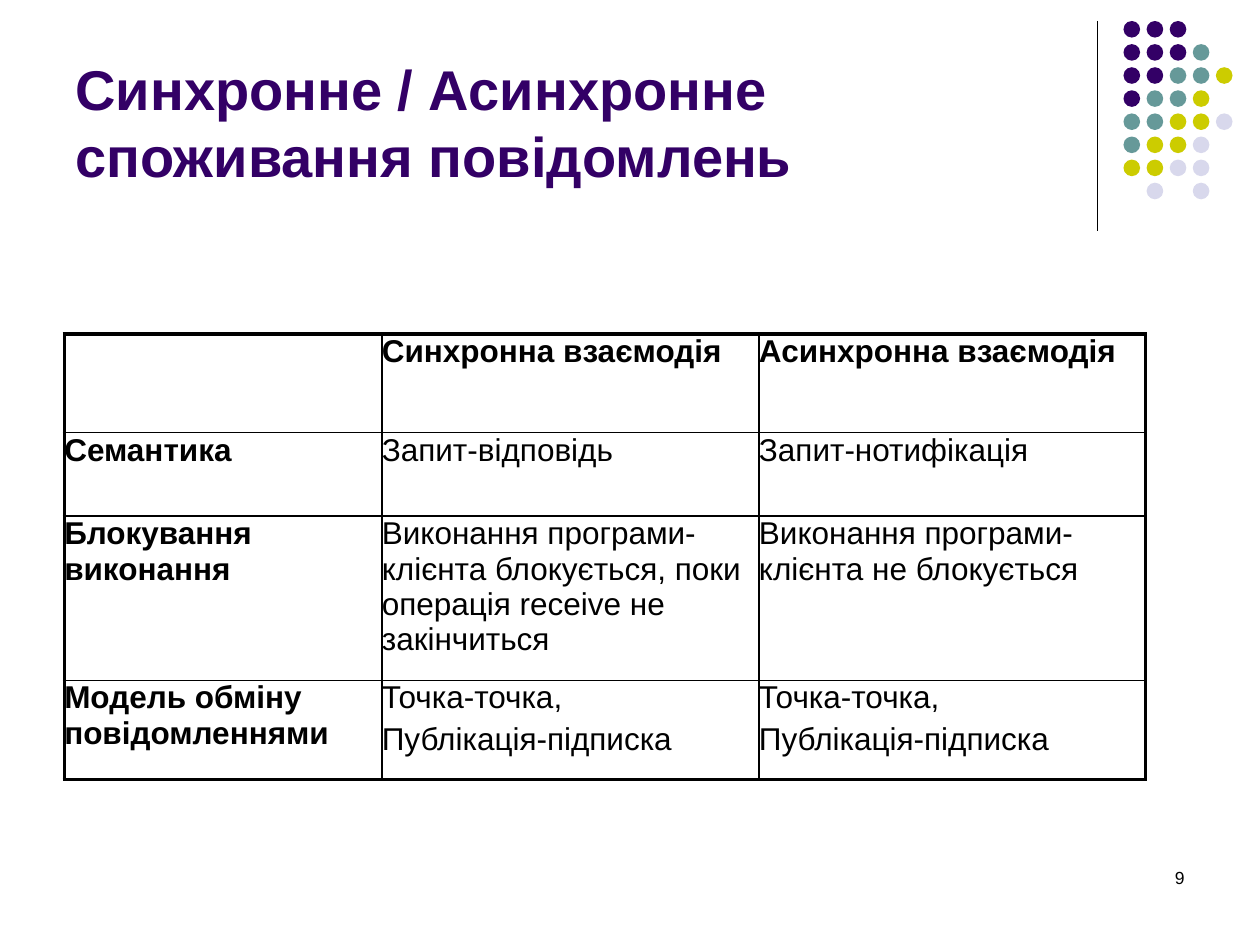
from lxml import etree
from pptx import Presentation
from pptx.dml.color import RGBColor
from pptx.enum import shapes, text
from pptx.oxml import ns
from pptx.util import Pt

BLACK, PURPLE = "000000", "330066"
DOT_COLORS = {"p": PURPLE, "t": "669999", "y": "CCCC00", "l": "D8D8EC"}
DOT_ROWS = ["ppp", "pppt", "pptty", "ptty", "ttyyl", "tyyl", "yyll", " l l"]
COLUMNS = [181.5, 215.5, 221]
ROWS = [56.5, 47.75, 93.75, 56.75]
MODEL = "Точка-точка,\nПублікація-підписка"
CELLS = [
    ["", "Синхронна взаємодія", "Асинхронна взаємодія"],
    ["Семантика", "Запит-відповідь", "Запит-нотифікація"],
    ["Блокування виконання",
     "Виконання програми-клієнта блокується, поки операція receive не закінчиться",
     "Виконання програми-клієнта не блокується"],
    ["Модель обміну повідомленнями", MODEL, MODEL],
]


def rgb(color):
    return RGBColor.from_string(color)


def set_attrs(obj, values):
    for name, value in values.items():
        setattr(obj, name, value)


def write(tf, content, size, color=BLACK, bold=False, align=None, gap=0):
    """Newlines start paragraphs, vertical tabs break lines."""
    for i, line in enumerate(content.split("\n")):
        p = tf.add_paragraph() if i else tf.paragraphs[0]
        p.text = line
        p.alignment = align
        p.space_before = Pt(gap if i else 0)
        for font in [p.font] + [r.font for r in p.runs]:
            set_attrs(font, {"name": "Arial", "size": Pt(size), "bold": bold})
            font.color.rgb = rgb(color)


def add_text(slide, box, content, size, anchor=text.MSO_ANCHOR.TOP, **fmt):
    tf = slide.shapes.add_textbox(*map(Pt, box)).text_frame
    set_attrs(tf, {"word_wrap": True, "vertical_anchor": anchor})
    write(tf, content, size, **fmt)


def add_rule(slide, x, top, bottom):
    line = slide.shapes.add_connector(
        shapes.MSO_CONNECTOR.STRAIGHT, Pt(x), Pt(top), Pt(x), Pt(bottom))
    line.line.width = Pt(0.75)
    line.line.color.rgb = rgb(BLACK)
    etree.SubElement(line._element.spPr, ns.qn("a:effectLst"))


def add_dots(slide, left, top, step, size):
    for row, codes in enumerate(DOT_ROWS):
        for col, code in enumerate(codes):
            if code == " ":
                continue
            sp = slide.shapes.add_shape(
                shapes.MSO_SHAPE.OVAL, Pt(left + col * step),
                Pt(top + row * step), Pt(size), Pt(size))
            sp.shadow.inherit = False
            sp.fill.solid()
            sp.fill.fore_color.rgb = rgb(DOT_COLORS[code])
            sp.line.fill.background()


def set_borders(cell, widths):
    tc_pr = cell._tc.get_or_add_tcPr()
    for i, (side, width) in enumerate(widths.items()):
        ln = etree.Element(ns.qn("a:ln" + side), w=str(Pt(width)))
        fill = etree.SubElement(ln, ns.qn("a:solidFill"))
        etree.SubElement(fill, ns.qn("a:srgbClr"), val=BLACK)
        tc_pr.insert(i, ln)


def add_comparison(slide, left, top):
    last_row, last_col = len(ROWS) - 1, len(COLUMNS) - 1
    table = slide.shapes.add_table(
        len(ROWS), len(COLUMNS), Pt(left), Pt(top),
        Pt(sum(COLUMNS)), Pt(sum(ROWS))).table
    set_attrs(table, {"first_row": False, "horz_banding": False})
    for column, width in zip(table.columns, COLUMNS):
        column.width = Pt(width)
    for row, height in zip(table.rows, ROWS):
        row.height = Pt(height)
    for i, row in enumerate(CELLS):
        for j, content in enumerate(row):
            cell = table.cell(i, j)
            set_attrs(cell, {"margin_" + side: 0
                             for side in ("left", "top", "right", "bottom")})
            cell.fill.background()
            write(cell.text_frame, content, 18, bold=i == 0 or j == 0, gap=3.6)
            # Thick outer frame, thin inner lines
            outer = {"L": j == 0, "R": j == last_col,
                     "T": i == 0, "B": i == last_row}
            set_borders(cell, {s: 2.25 if o else 1 for s, o in outer.items()})


def main():
    prs = Presentation()
    set_attrs(prs, {"slide_width": Pt(720), "slide_height": Pt(540)})
    slide = prs.slides.add_slide(prs.slide_layouts[6])

    # Corner decoration
    add_rule(slide, 627, 12, 132)
    add_dots(slide, 642, 12, 13.2, 9.5)

    # Page number and title
    add_text(slide, (516, 492, 168, 36), "9", 10, align=text.PP_ALIGN.RIGHT)
    add_text(slide, (36, 9.5, 594, 102),
             "Синхронне / Асинхронне \vспоживання повідомлень", 32,
             anchor=text.MSO_ANCHOR.BOTTOM, color=PURPLE, bold=True)

    # Comparison table
    add_comparison(slide, 36.75, 190.75)
    prs.save("out.pptx")


if __name__ == "__main__":
    main()
